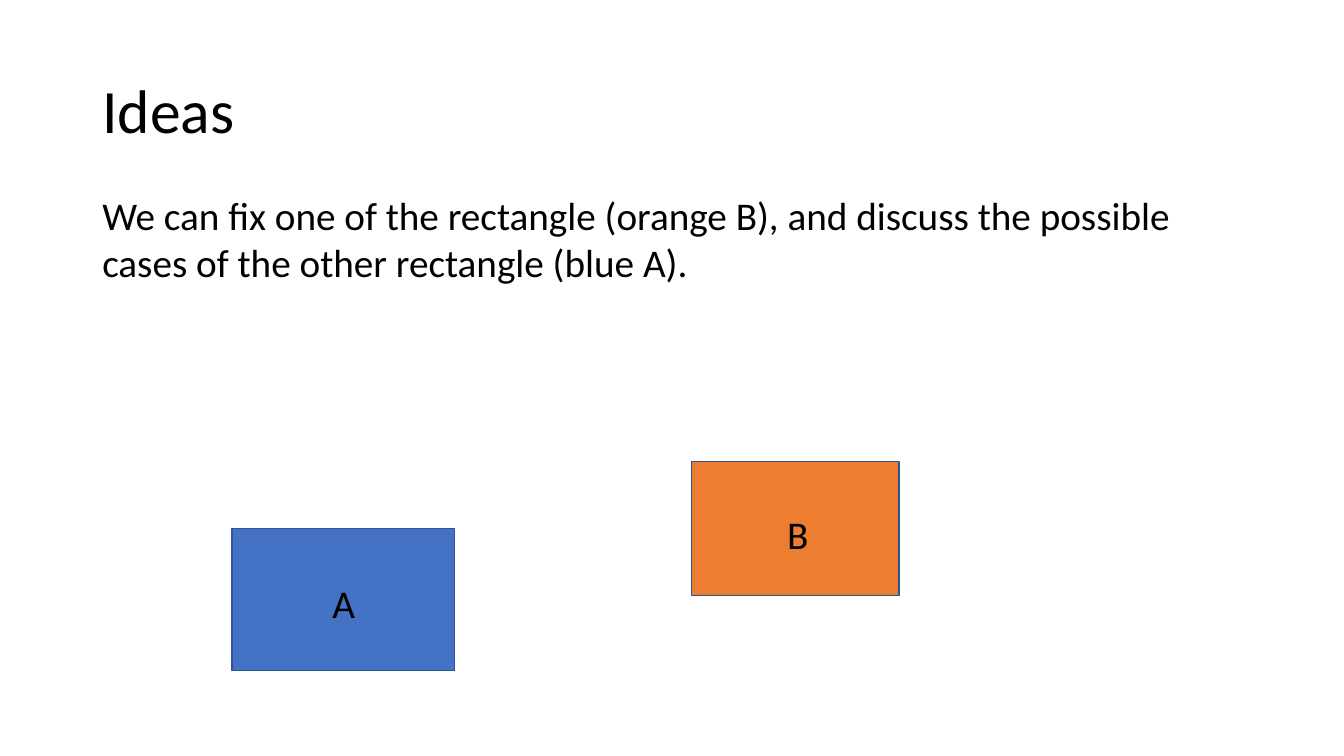
from dataclasses import dataclass

from pptx import Presentation
from pptx.dml.color import RGBColor
from pptx.enum.shapes import MSO_SHAPE
from pptx.enum.text import MSO_ANCHOR
from pptx.util import Pt

RECTANGLE = MSO_SHAPE.RECTANGLE
TOP, MIDDLE = MSO_ANCHOR.TOP, MSO_ANCHOR.MIDDLE


@dataclass(frozen=True)
class Theme:
    font: str = "Calibri"
    text: RGBColor = RGBColor(0x00, 0x00, 0x00)
    blue: RGBColor = RGBColor(0x44, 0x72, 0xC4)
    orange: RGBColor = RGBColor(0xED, 0x7D, 0x31)
    outline: RGBColor = RGBColor(0x32, 0x54, 0x91)
    title_size: int = 44
    body_size: int = 28


THEME = Theme()


def add_text(page, box, text, size, anchor=TOP, line_spacing=1.0):
    """Place left-aligned text in box (left, top, width, height in points)."""
    frame = page.shapes.add_textbox(*map(Pt, box)).text_frame
    frame.word_wrap = True
    frame.vertical_anchor = anchor
    frame.text = text
    para = frame.paragraphs[0]
    para.line_spacing = line_spacing
    font = para.runs[0].font
    font.name = THEME.font
    font.size = Pt(size)
    font.color.rgb = THEME.text


def add_heading(page, box):
    """Title band with the explanation below it."""
    left, top, width, height = box
    title_height = 104.4
    add_text(page, (left, top, 828, title_height), "Ideas",
             THEME.title_size, MIDDLE, 0.9)
    add_text(page, (left, top + title_height, width, height - title_height),
             "We can fix one of the rectangle (orange B), and discuss "
             "the possible cases of the other rectangle (blue A).",
             THEME.body_size)


def add_labelled_rectangle(page, box, fill, label, label_box):
    """Coloured rectangle; label_box is relative to its top left corner."""
    rectangle = page.shapes.add_shape(RECTANGLE, *map(Pt, box))
    rectangle.shadow.inherit = False
    rectangle.fill.solid()
    rectangle.fill.fore_color.rgb = fill
    rectangle.line.color.rgb = THEME.outline
    rectangle.line.width = Pt(1)
    left, top = box[:2]
    dx, dy, width, height = label_box
    add_text(page, (left + dx, top + dy, width, height), label,
             THEME.body_size)


deck = Presentation()
deck.slide_width, deck.slide_height = Pt(960), Pt(540)
page = deck.slides.add_slide(deck.slide_layouts[6])

# Title and explanation
add_heading(page, (66, 28.8, 839.5, 179.3))

# The moving rectangle A and the fixed rectangle B
add_labelled_rectangle(page, (165.6, 377.3, 159.1, 101.5), THEME.blue,
                       "A", (64.8, 33.1, 46, 41))
add_labelled_rectangle(page, (493.9, 329.8, 148.3, 95.8), THEME.orange,
                       "B", (61.2, 31, 33.1, 41))

deck.save("out.pptx")
